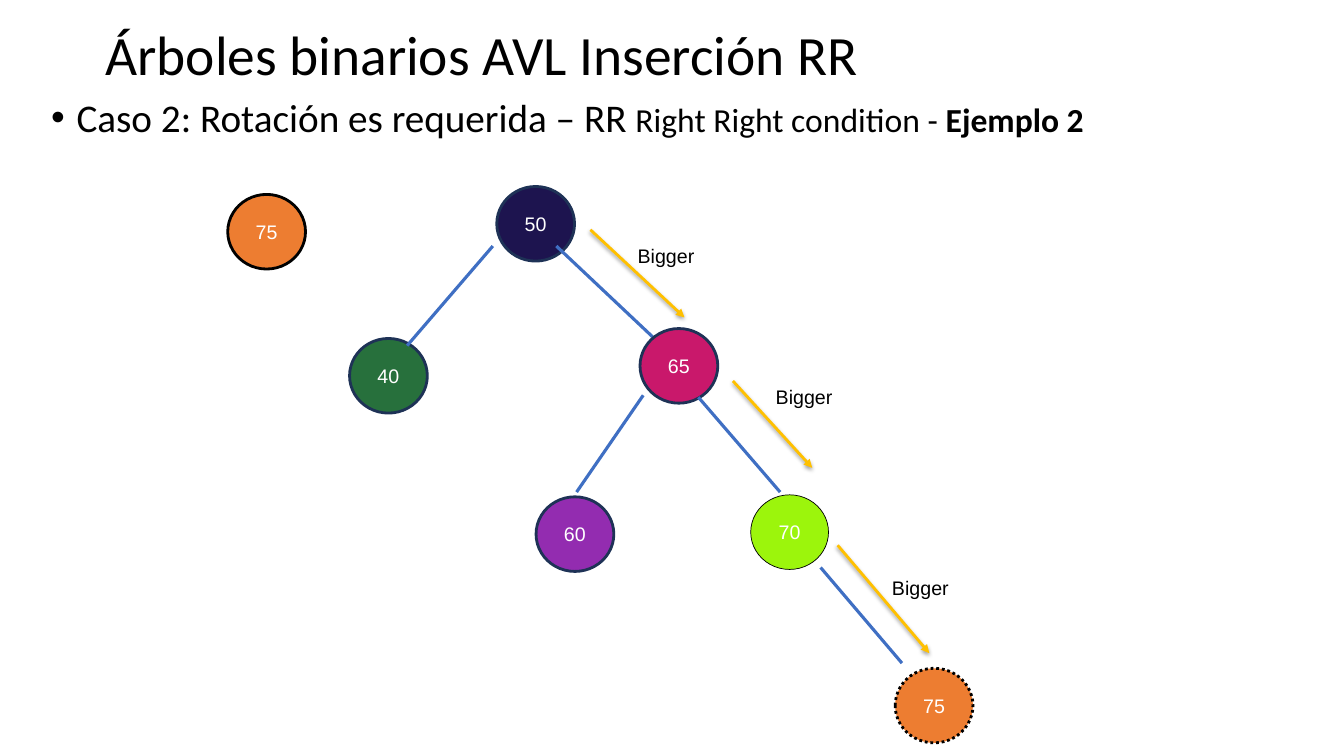
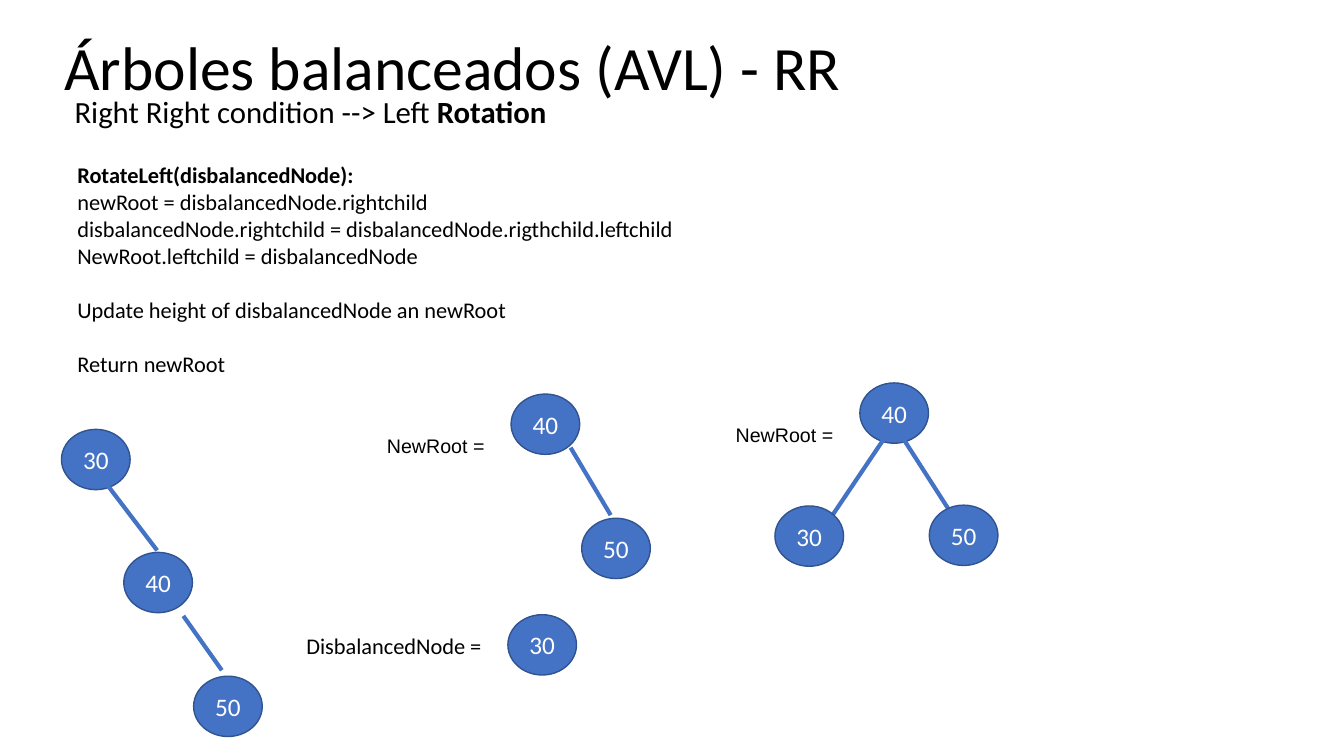
from lxml import etree
from pptx import Presentation
from pptx.dml.color import RGBColor
from pptx.enum.dml import MSO_LINE
from pptx.enum.shapes import MSO_CONNECTOR, MSO_SHAPE
from pptx.enum.text import MSO_ANCHOR, PP_ALIGN
from pptx.oxml import parse_xml
from pptx.oxml.ns import qn
from pptx.util import Cm, Pt

STRAIGHT = MSO_CONNECTOR.STRAIGHT
CIRCLE, ELLIPSE = MSO_SHAPE.FLOWCHART_CONNECTOR, MSO_SHAPE.OVAL
TOP, MIDDLE = MSO_ANCHOR.TOP, MSO_ANCHOR.MIDDLE
LEFT, CENTER, JUSTIFY = PP_ALIGN.LEFT, PP_ALIGN.CENTER, PP_ALIGN.JUSTIFY
DOTTED = MSO_LINE.ROUND_DOT

BLACK = RGBColor(0x00, 0x00, 0x00)
WHITE = RGBColor(0xFF, 0xFF, 0xFF)
ORANGE = RGBColor(0xED, 0x7D, 0x31)
PURPLE = RGBColor(0x93, 0x2C, 0xB0)
GREEN = RGBColor(0x27, 0x70, 0x3C)
INDIGO = RGBColor(0x1D, 0x14, 0x4F)
MAGENTA = RGBColor(0xC9, 0x18, 0x6B)
LIME = RGBColor(0x9C, 0xF5, 0x0C)
NAVY = RGBColor(0x1E, 0x32, 0x56)
EDGE_BLUE = RGBColor(0x3F, 0x6F, 0xC3)
BLUE = RGBColor(0x44, 0x72, 0xC4)
DARK_BLUE = RGBColor(0x31, 0x53, 0x8F)
GOLD = RGBColor(0xFF, 0xC0, 0x00)

BODY, LABEL = "Calibri", "Arial"

ARROW_SHADOW = (
    '<a:effectLst xmlns:a="http://schemas.openxmlformats.org/drawingml/2006/main">'
    '<a:outerShdw blurRad="39370" dist="20320" dir="5400000" rotWithShape="0">'
    '<a:srgbClr val="000000"><a:alpha val="38000"/></a:srgbClr>'
    '</a:outerShdw></a:effectLst>'
)


def write(paragraph, runs, font, color=BLACK, align=LEFT):
    """Add runs given as (text, size, bold)."""
    paragraph.alignment = align
    for text, size, bold in runs:
        run = paragraph.add_run()
        run.text = text
        run.font.name = font
        run.font.size = Pt(size)
        run.font.bold = bold
        run.font.color.rgb = color


def draw_line(slide, ends, color, width, arrow=False):
    line = slide.shapes.add_connector(STRAIGHT, *(Cm(v) for v in ends))
    line.line.color.rgb = color
    line.line.width = Pt(width)
    properties = line._element.spPr
    if arrow:
        stroke = properties.find(qn("a:ln"))
        etree.SubElement(stroke, qn("a:tailEnd"), type="triangle")
        properties.append(parse_xml(ARROW_SHADOW))
    else:
        etree.SubElement(properties, qn("a:effectLst"))


deck = Presentation()
deck.slide_width, deck.slide_height = Cm(33.87), Cm(19.05)
blank = deck.slide_layouts[6]
insertion = deck.slides.add_slide(blank)
rotation = deck.slides.add_slide(blank)

# Titles: slide, box, text, size
titles = [
    (insertion, (2.41, 0.66, 29.13, 1.57), "Árboles binarios AVL Inserción RR", 39.6),
    (rotation, (1.37, 0.38, 29.21, 2.79), "Árboles balanceados (AVL) - RR", 44),
]
for slide, box, text, size in titles:
    frame = slide.shapes.add_textbox(*(Cm(v) for v in box)).text_frame
    frame.word_wrap = True
    frame.vertical_anchor = MIDDLE
    title = frame.paragraphs[0]
    title.line_spacing = 0.9
    write(title, [(text, size, False)], BODY)

# Bulleted case
frame = insertion.shapes.add_textbox(Cm(1.04), Cm(2.36), Cm(29.41), Cm(1.63)).text_frame
frame.word_wrap = True
case = frame.paragraphs[0]
case.line_spacing = 0.9
write(case, [("Caso 2: Rotación es requerida – RR ", 28, False),
             ("Right Right condition - ", 24, False),
             ("Ejemplo 2", 24, True)], BODY, align=JUSTIFY)
bullet = case._p.get_or_add_pPr()
bullet.set("marL", str(Cm(0.64)))
bullet.set("indent", str(Cm(-0.64)))
etree.SubElement(bullet, qn("a:buFont"), typeface="Arial")
etree.SubElement(bullet, qn("a:buChar"), char="•")

# Pseudocode: text, bold, space before
frame = rotation.shapes.add_textbox(Cm(1.7), Cm(3.94), Cm(16.87), Cm(6.93)).text_frame
frame.word_wrap = True
pseudocode = [
    ("RotateLeft(disbalancedNode):", True, 0),
    ("newRoot = disbalancedNode.rightchild", False, 0),
    ("disbalancedNode.rightchild = disbalancedNode.rigthchild.leftchild", False, 0),
    ("NewRoot.leftchild = disbalancedNode", False, 0),
    ("Update height of disbalancedNode an newRoot", False, 19.5),
    ("Return newRoot", False, 19.5),
]
for number, (text, bold, gap) in enumerate(pseudocode):
    statement = frame.add_paragraph() if number else frame.paragraphs[0]
    statement.space_before = Pt(gap)
    write(statement, [(text, 16, bold)], BODY)

# Captions: slide, box, font, runs
captions = [
    (rotation, (1.63, 2.21, 18.14, 1.8), BODY,
     [("Right Right condition --> Left ", 22, False), ("Rotation", 22, True)]),
    (rotation, (7.47, 15.8, 5.33, 0.94), BODY, [("DisbalancedNode =", 16, False)]),
]
for left, top in [(9.5, 10.82), (18.29, 10.54)]:
    captions.append((rotation, (left, top, 4.24, 0.86), LABEL, [("NewRoot =", 14, False)]))
for left, top in [(15.82, 6.02), (19.3, 9.58), (22.23, 14.38)]:
    captions.append((insertion, (left, top, 2.64, 0.86), LABEL, [("Bigger", 14, False)]))
for slide, box, font, runs in captions:
    frame = slide.shapes.add_textbox(*(Cm(v) for v in box)).text_frame
    frame.word_wrap = True
    write(frame.paragraphs[0], runs, font)

# Nodes: value, left, top, fill, outline, outline width, dash, edges drawn over the node
insertion_nodes = [
    ("75", 5.74, 4.9, ORANGE, BLACK, 2, None, []),
    ("60", 13.51, 12.52, PURPLE, NAVY, 2, None, []),
    ("40", 8.81, 8.53, GREEN, NAVY, 2, None, []),
    ("50", 12.52, 4.7, INDIGO, NAVY, 2, None,
     [(12.42, 6.2, 10.26, 8.71), (14.02, 6.2, 16.66, 8.69)]),
    ("65", 16.13, 8.28, MAGENTA, NAVY, 2, None,
     [(17.6, 10.01, 19.66, 12.4), (16.21, 9.96, 14.53, 12.4)]),
    ("70", 18.92, 12.47, LIME, BLACK, 0.5, None, [(20.68, 14.3, 22.73, 16.71)]),
    ("75", 22.56, 16.84, ORANGE, BLACK, 2, DOTTED, []),
]
rotation_nodes = [
    (value, left, top, BLUE, DARK_BLUE, 1, None, edges)
    for value, left, top, edges in [
        ("30", 1.55, 10.82, [(2.59, 12.07, 3.96, 13.87)]),
        ("40", 3.12, 13.92, [(4.62, 15.52, 5.59, 16.89)]),
        ("50", 4.88, 17.04, []),
        ("40", 12.88, 9.93, [(14.38, 11.28, 15.39, 12.98)]),
        ("50", 14.66, 13.06, []),
        ("30", 12.8, 15.49, []),
        ("40", 21.67, 9.65, [(22.35, 10.95, 20.98, 12.98), (22.76, 11.05, 24.18, 13.26)]),
        ("30", 19.53, 12.75, []),
        ("50", 23.42, 12.73, []),
    ]
]
# Trees: slide, nodes, preset, node size, font, text size, edge colour, edge width
trees = [
    (insertion, insertion_nodes, CIRCLE, (1.96, 1.88), LABEL, 14, EDGE_BLUE, 2.25),
    (rotation, rotation_nodes, ELLIPSE, (1.73, 1.52), BODY, 18, BLUE, 3),
]
for slide, nodes, preset, (width, height), font, size, edge_color, edge_width in trees:
    for value, left, top, fill, outline, weight, dash, edges in nodes:
        node = slide.shapes.add_shape(preset, Cm(left), Cm(top), Cm(width), Cm(height))
        node.shadow.inherit = False
        node.fill.solid()
        node.fill.fore_color.rgb = fill
        node.line.color.rgb = outline
        node.line.width = Pt(weight)
        if dash:
            node.line.dash_style = dash
        node.text_frame.vertical_anchor = MIDDLE
        write(node.text_frame.paragraphs[0], [(value, size, False)], font, WHITE, CENTER)
        for edge in edges:
            draw_line(slide, edge, edge_color, edge_width)

# Path followed by the inserted value
for step in [(14.88, 5.79, 17.25, 8), (18.47, 9.6, 20.47, 11.79), (21.11, 13.74, 23.42, 16.46)]:
    draw_line(insertion, step, GOLD, 2, arrow=True)

deck.save("out.pptx")
